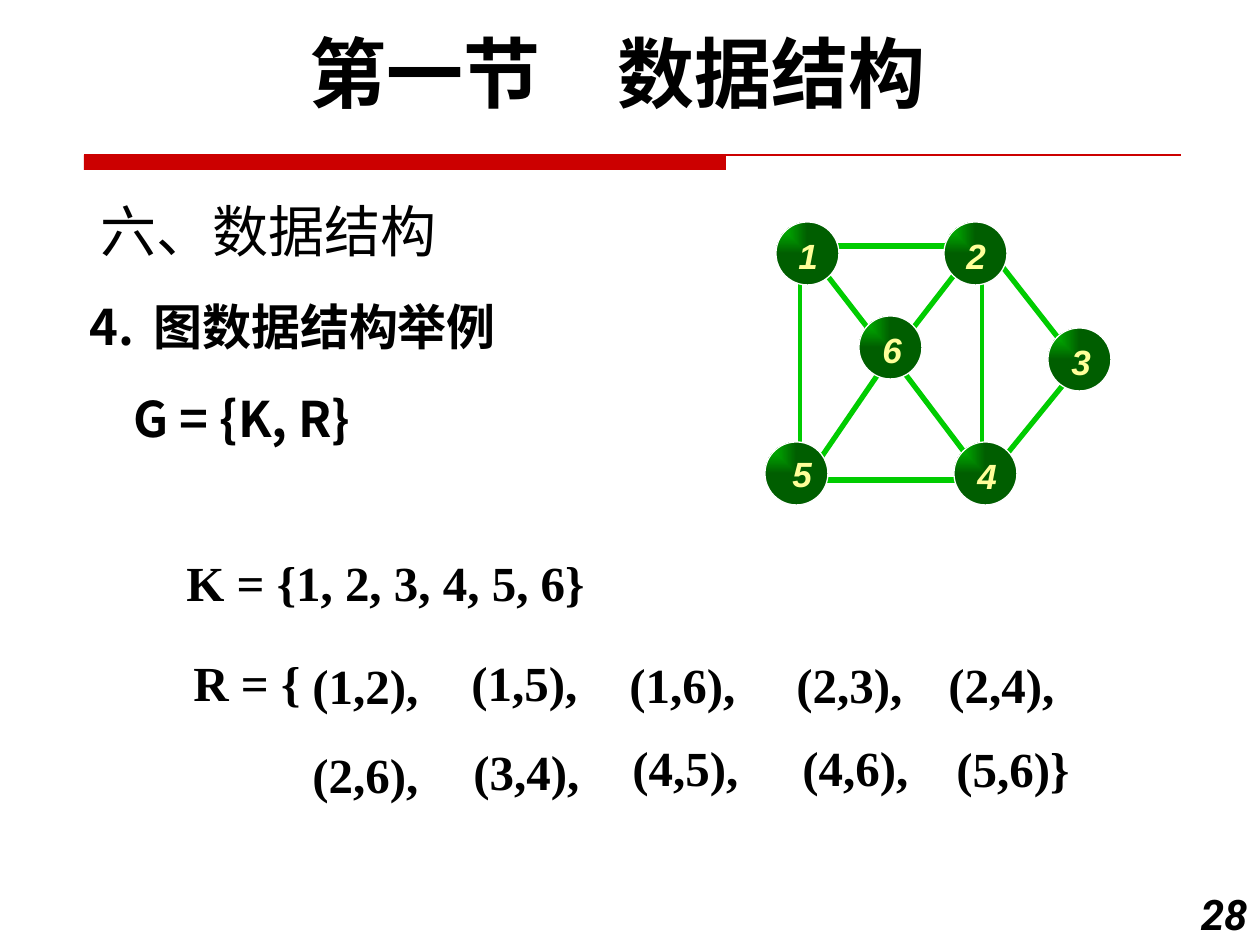
from lxml import etree
from pptx import Presentation
from pptx import util as u
from pptx.dml.color import RGBColor
from pptx.enum import shapes, text
from pptx.oxml.ns import qn

SCALE = 914400 / 126
CJK, LATIN, SERIF, NODE_FONT = "Noto Sans CJK SC", "Roboto", "Times New Roman", "Arial"
BLACK, WHITE, RED, GREEN = "000000", "FFFFFF", "CC0000", "00CC00"
DARK_GREEN, PALE_YELLOW = "005E00", "FFFF99"


def px(length):
    return u.Emu(round(length * SCALE))


def color(hex_code):
    return RGBColor.from_string(hex_code)


class Canvas:
    def __init__(self, slide):
        self.slide = slide

    def style(self, paragraph, font, size, hex_code=BLACK, bold=True, italic=False):
        paragraph.font.name = font
        paragraph.font.size = u.Pt(size)
        paragraph.font.bold = bold
        paragraph.font.italic = italic
        paragraph.font.color.rgb = color(hex_code)
        defaults = paragraph._p.pPr.find(qn("a:defRPr"))
        etree.SubElement(defaults, qn("a:ea"), typeface=font)

    def text(self, words, box, font, size, align=text.PP_ALIGN.LEFT,
             anchor=text.MSO_ANCHOR.TOP, **look):
        frame = self.slide.shapes.add_textbox(*map(px, box)).text_frame
        frame.word_wrap = True
        frame.vertical_anchor = anchor
        paragraph = frame.paragraphs[0]
        paragraph.text = words
        paragraph.alignment = align
        self.style(paragraph, font, size, **look)
        return frame

    def line(self, start, end, hex_code, width):
        connector = self.slide.shapes.add_connector(
            shapes.MSO_CONNECTOR.STRAIGHT, *map(px, (*start, *end)))
        connector.line.color.rgb = color(hex_code)
        connector.line.width = u.Pt(width)
        etree.SubElement(connector._element.spPr, qn("a:effectLst"))

    def bar(self, box, hex_code):
        bar = self.slide.shapes.add_shape(shapes.MSO_SHAPE.RECTANGLE, *map(px, box))
        bar.shadow.inherit = False
        bar.fill.solid()
        bar.fill.fore_color.rgb = color(hex_code)
        bar.line.fill.background()

    def node(self, label, left, top, label_dx, label_dy):
        ball = self.slide.shapes.add_shape(
            shapes.MSO_SHAPE.OVAL, *map(px, (left, top, 63, 63)))
        ball.shadow.inherit = False
        ball.line.color.rgb = color(WHITE)
        ball.line.width = u.Pt(0.75)
        ball.fill.gradient()
        for stop, hex_code in zip(ball.fill.gradient_stops, (GREEN, DARK_GREEN)):
            stop.color.rgb = color(hex_code)
        gradient = ball._element.spPr.find(qn("a:gradFill"))
        gradient.remove(gradient.find(qn("a:lin")))
        focus = etree.SubElement(gradient, qn("a:path"), path="rect")
        etree.SubElement(focus, qn("a:fillToRect"), r="100000", b="100000")
        self.text(label, (left + label_dx, top + label_dy, 45, 54), NODE_FONT, 20,
                  hex_code=PALE_YELLOW, italic=True)


def main():
    deck = Presentation()
    deck.slide_width, deck.slide_height = px(1260), px(945)
    canvas = Canvas(deck.slides.add_slide(deck.slide_layouts[6]))

    canvas.bar((84, 155, 642, 15), RED)
    canvas.line((84, 155), (1181, 155), RED, 0.75)
    canvas.text("六、数据结构", (88, 175, 851, 95), CJK, 32,
                anchor=text.MSO_ANCHOR.BOTTOM, bold=False)
    canvas.text("28", (1176, 882, 84, 63), LATIN, 24,
                align=text.PP_ALIGN.RIGHT, italic=True)

    example = canvas.text("4.\t图数据结构举例", (77, 290, 1183, 535), CJK, 28)
    heading = example.paragraphs[0]._p.get_or_add_pPr()
    heading.set("marL", str(px(64)))
    heading.set("indent", str(px(-64)))
    graph = example.add_paragraph()
    graph.text = "G = {K, R}"
    graph.space_before = u.Pt(19)
    graph._p.get_or_add_pPr().set("marL", str(px(44)))
    graph._p.get_or_add_pPr().set("indent", "0")
    canvas.style(graph, CJK, 28)

    edges = [
        ((965, 261), (907, 336)), ((1072, 374), (998, 465)),
        ((883, 367), (816, 465)), ((900, 367), (974, 465)),
        ((800, 268), (800, 457)), ((825, 480), (956, 480)),
        ((825, 246), (956, 246)), ((998, 261), (1063, 344)),
        ((816, 261), (874, 336)), ((982, 268), (982, 457)),
    ]
    for start, end in edges:
        vertical = start[0] == end[0]
        canvas.line(start, end, GREEN, 2.25 if vertical else 3)

    nodes = [
        ("1", 776, 222, 10, 6), ("2", 944, 222, 10, 6), ("3", 1048, 328, 11, 6),
        ("4", 954, 442, 11, 6), ("5", 765, 442, 15, 4), ("6", 859, 316, 11, 6),
    ]
    for node in nodes:
        canvas.node(*node)

    canvas.text("第一节\u3000数据结构".replace("\u3000", "　"), (35, 19, 1166, 106), LATIN, 44,
                align=text.PP_ALIGN.CENTER)
    canvas.text("K = {1, 2, 3, 4, 5, 6}", (174, 546, 963, 72), SERIF, 28)
    canvas.text("R = {", (181, 646, 139, 72), SERIF, 28)

    relations = [
        ("(1,2),", 300, 649), ("(1,5),", 459, 646), ("(1,6),", 617, 648),
        ("(2,3),", 784, 648), ("(2,4),", 936, 648),
        ("(2,6),", 300, 738), ("(3,4),", 461, 735), ("(4,5),", 620, 731),
        ("(4,6),", 790, 731), ("(5,6)}", 944, 732),
    ]
    for pair, left, top in relations:
        canvas.text(pair, (left, top, 179, 72), SERIF, 28)

    deck.save("out.pptx")


if __name__ == "__main__":
    main()
